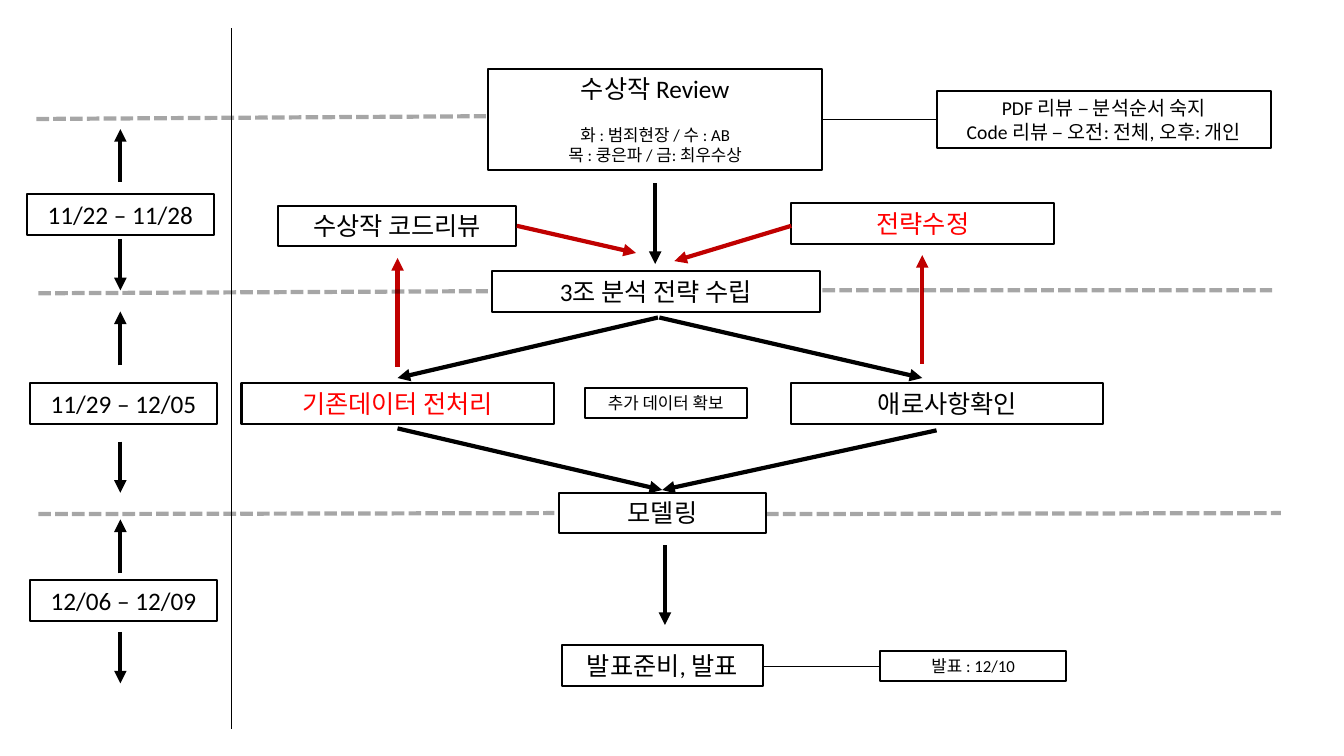
from lxml import etree
from pptx import Presentation
from pptx.dml.color import RGBColor
from pptx.enum.dml import MSO_LINE
from pptx.enum.shapes import MSO_CONNECTOR
from pptx.enum.text import MSO_AUTO_SIZE, PP_ALIGN
from pptx.oxml.ns import qn
from pptx.util import Pt

STRAIGHT = MSO_CONNECTOR.STRAIGHT
SQUARE_DASH = MSO_LINE.SQUARE_DOT
FIT_TEXT = MSO_AUTO_SIZE.SHAPE_TO_FIT_TEXT
CENTER = PP_ALIGN.CENTER

FONT = "Calibri"
COLORS = {"ink": "000000", "alert": "FF0000", "feedback": "C00000"}
BOX_HEIGHTS = {12: 21.6, 18: 29}

TASKS = [
    ("3조 분석 전략 수립", 351.5, 193.7, 234, 18, "ink"),
    ("기존데이터 전처리", 172.5, 273.7, 223, 18, "alert"),
    ("추가 데이터 확보", 417.6, 277.3, 116, 12, "ink"),
    ("애로사항확인", 565.2, 273.7, 223, 18, "ink"),
    ("모델링", 399.5, 352, 147.6, 18, "ink"),
    ("발표준비, 발표", 401.2, 460.8, 144, 18, "ink"),
    ("수상작 코드리뷰", 198.7, 147, 170, 18, "ink"),
    ("전략수정", 565.2, 145.2, 188, 18, "alert"),
    ("발표 : 12/10", 628.6, 464.7, 133, 12, "ink"),
]
PERIODS = [
    ("11/22 – 11/28", 19.2, 138.7, (130, 92.2), (170.6, 207.4)),
    ("11/29 – 12/05", 21.5, 273.7, (261, 222.5), (315.4, 352)),
    ("12/06 – 12/09", 21.5, 414.6, (409.5, 371), (451.4, 488.2)),
]
FLOW_ARROWS = [
    (468, 131, 468, 188.6),
    (470, 226.8, 284, 270),
    (471, 226.8, 658.8, 270),
    (284, 306, 473, 350),
    (669, 307.4, 473, 350),
    (475, 389.5, 475, 446.4),
]
FEEDBACK_ARROWS = [
    (658.8, 260, 658.8, 182.2),
    (284, 262, 284, 184.3),
    (369.2, 161.3, 454.3, 180.7),
    (565.2, 161.3, 481.7, 186.5),
]
LINKS = [
    (587.5, 85.5, 669, 85.5),
    (545, 475.7, 628.6, 475.7),
    (165.6, 20.2, 165.6, 520.6),
]
PERIOD_BORDERS = [
    (26, 85, 347, 83),
    (27.4, 209.5, 348.5, 208),
    (27.4, 367.2, 396, 366.5),
    (547.2, 367.2, 915, 366.5),
    (587.5, 207.4, 908.6, 207.4),
]


def add_box(slide, paragraphs, left, top, width, height, color="ink"):
    box = slide.shapes.add_textbox(Pt(left), Pt(top), Pt(width), Pt(height))
    box.line.color.rgb = RGBColor.from_string(COLORS["ink"])
    box.line.width = Pt(1.5)
    frame = box.text_frame
    frame.word_wrap = True
    frame.auto_size = FIT_TEXT
    for index, (text, size, gap) in enumerate(paragraphs):
        paragraph = frame.add_paragraph() if index else frame.paragraphs[0]
        paragraph.alignment = CENTER
        paragraph.space_before = Pt(gap)
        run = paragraph.add_run()
        run.text = text
        run.font.size = Pt(size)
        run.font.name = FONT
        run.font.color.rgb = RGBColor.from_string(COLORS[color])


def add_task(slide, text, left, top, width, size, color="ink"):
    add_box(slide, [(text, size, 0)], left, top, width, BOX_HEIGHTS[size], color)


def add_line(slide, ends, weight, color="ink"):
    line = slide.shapes.add_connector(STRAIGHT, *map(Pt, ends))
    line.line.color.rgb = RGBColor.from_string(COLORS[color])
    line.line.width = Pt(weight)
    etree.SubElement(line._element.spPr, qn("a:effectLst"))
    return line


def add_arrow(slide, ends, color="ink"):
    arrow = add_line(slide, ends, 3, color)
    etree.SubElement(arrow.line._ln, qn("a:tailEnd"), type="triangle")


def add_border(slide, ends):
    border = add_line(slide, ends, 3)
    border.line.dash_style = SQUARE_DASH
    border.line._ln.find(qn("a:prstDash")).set("val", "sysDash")
    tint = border.line._ln.find(".//" + qn("a:srgbClr"))
    etree.SubElement(tint, qn("a:alpha"), val="34000")


def add_period(slide, text, left, top, upward, downward):
    add_task(slide, text, left, top, 133.5, 18)
    for start, end in (upward, downward):
        add_arrow(slide, (86, start, 86, end))


def main():
    prs = Presentation()
    prs.slide_width, prs.slide_height = Pt(960), Pt(540)
    slide = prs.slides.add_slide(prs.slide_layouts[6])

    review = [
        ("수상작 Review", 18, 0),
        ("화 : 범죄현장 / 수 : AB", 12, 14.6),
        ("목 : 쿵은파 / 금: 최우수상", 12, 0),
    ]
    review_steps = [
        ("PDF 리뷰 – 분석순서 숙지", 14, 0),
        ("Code 리뷰 – 오전: 전체, 오후: 개인", 14, 0),
    ]
    add_box(slide, review, 348.5, 49, 239, 72.7)
    add_box(slide, review_steps, 669, 65, 239, 41)
    for task in TASKS:
        add_task(slide, *task)
    for ends in FLOW_ARROWS:
        add_arrow(slide, ends)
    for ends in FEEDBACK_ARROWS:
        add_arrow(slide, ends, "feedback")
    for ends in LINKS:
        add_line(slide, ends, 0.5)
    for period in PERIODS:
        add_period(slide, *period)
    for ends in PERIOD_BORDERS:
        add_border(slide, ends)

    prs.save("out.pptx")


main()
